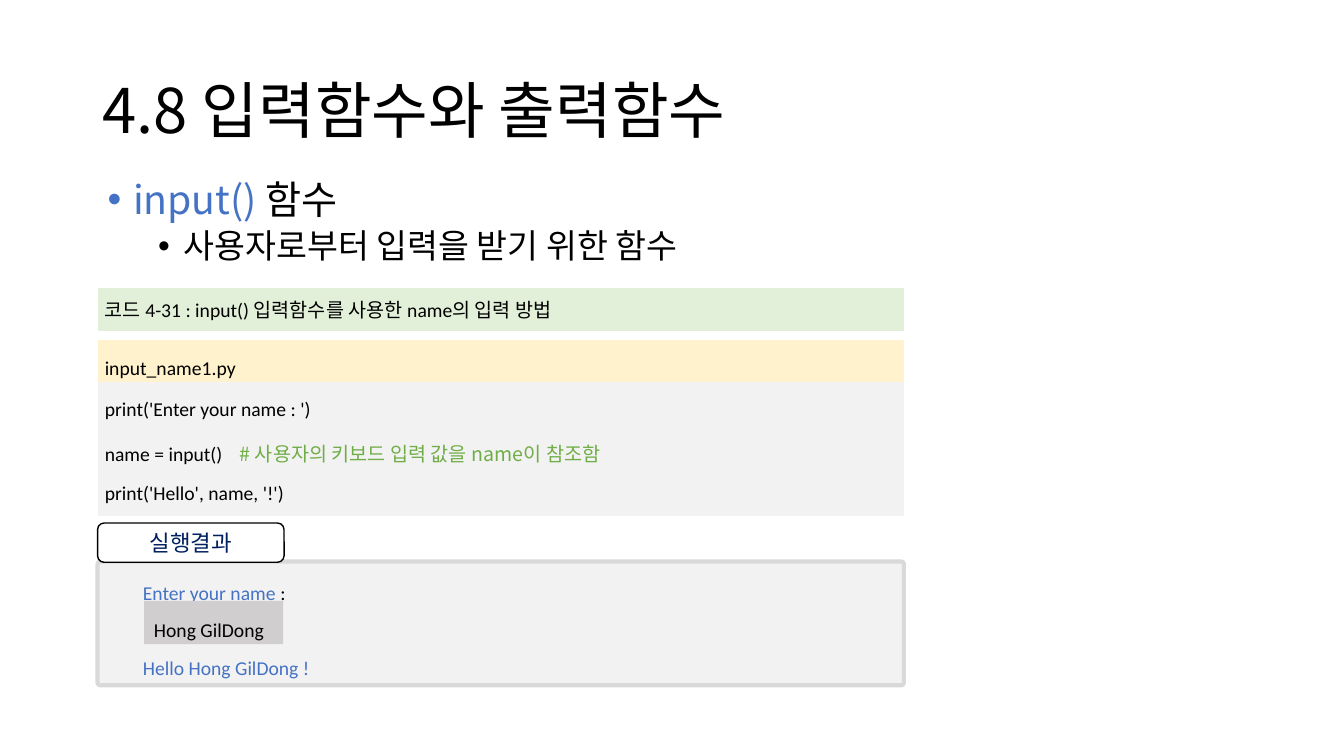
"""Build the slide about the input() function with its code listing and output."""
from lxml.etree import SubElement
from pptx import Presentation
from pptx.dml.color import RGBColor
from pptx.enum.shapes import MSO_SHAPE
from pptx.enum.text import MSO_ANCHOR, MSO_AUTO_SIZE, PP_ALIGN
from pptx.oxml.ns import qn
from pptx.util import Cm, Pt

BLACK = RGBColor(0x00, 0x00, 0x00)
WHITE = RGBColor(0xFF, 0xFF, 0xFF)
BLUE = RGBColor(0x44, 0x72, 0xC4)
NAVY = RGBColor(0x00, 0x20, 0x60)
GREEN = RGBColor(0x70, 0xAD, 0x47)
PALE_GREEN = RGBColor(0xE2, 0xF0, 0xD9)
PALE_YELLOW = RGBColor(0xFF, 0xF2, 0xCC)
PALE_GREY = RGBColor(0xF2, 0xF2, 0xF2)
BORDER_GREY = RGBColor(0xD9, 0xD9, 0xD9)
INPUT_GREY = RGBColor(0xD0, 0xCE, 0xCE)
LATIN, KOREAN = "Calibri", "Noto Sans CJK KR"
LEFT, WIDTH = Cm(2.46), Cm(20.32)


def write(para, spans, size, font=LATIN, spacing=1.0):
    """Write coloured spans, each (text, colour) or (text, colour, font)."""
    para.alignment = PP_ALIGN.LEFT
    para.line_spacing = spacing
    para.font.size = Pt(size)
    para.font.name = font
    defaults = para._p.pPr.find(qn("a:defRPr"))
    SubElement(defaults, qn("a:ea"), typeface=KOREAN)
    for text, colour, *own_font in spans:
        span = para.add_run()
        span.text = text
        span.font.color.rgb = colour
        if own_font:
            span.font.name = own_font[0]
        SubElement(span._r.get_or_add_rPr(), qn("a:ea"), typeface=KOREAN)


def add_box(kind, left, top, width, height, fill, line=None, line_width=0):
    """Add a flat shape with a plain fill and an optional outline."""
    box = page.shapes.add_shape(kind, left, top, width, height)
    box.shadow.inherit = False
    box.fill.solid()
    box.fill.fore_color.rgb = fill
    if line is None:
        box.line.fill.background()
    else:
        box.line.color.rgb = line
        box.line.width = Pt(line_width)
    return box


deck = Presentation()
deck.slide_width, deck.slide_height = Cm(33.87), Cm(19.05)
page = deck.slides.add_slide(deck.slide_layouts[1])

title, body = page.placeholders
title.left, title.top, title.width, title.height = Cm(2.33), Cm(1.01), Cm(29.21), Cm(3.68)
title.text_frame.vertical_anchor = MSO_ANCHOR.MIDDLE
write(title.text_frame.paragraphs[0], [("4.8 입력함수와 출력함수", BLACK)], 44, KOREAN, 0.9)

body.left, body.top, body.width, body.height = LEFT, Cm(4.42), Cm(25.02), Cm(2.72)
body.text_frame.auto_size = MSO_AUTO_SIZE.NONE
bullets = [
    ([("input() ", BLUE), ("함수", BLACK)], 28, 10, 0.64),
    ([("사용자로부터 입력을 받기 위한 함수", BLACK)], 24, 5, 1.91),
]
for level, (spans, size, before, indent) in enumerate(bullets):
    para = body.text_frame.add_paragraph() if level else body.text_frame.paragraphs[0]
    para.level = level
    write(para, spans, size, KOREAN, 0.9)
    para.space_before = Pt(before)
    settings = para._p.pPr
    settings.set("marL", str(Cm(indent)))
    settings.set("indent", str(-Cm(0.64)))
    defaults = settings.find(qn("a:defRPr"))
    for tag, name, value in [("a:buFont", "typeface", "Arial"), ("a:buChar", "char", "•")]:
        defaults.addprevious(SubElement(settings, qn(tag), {name: value}))

result = add_box(MSO_SHAPE.ROUNDED_RECTANGLE, LEFT, Cm(14.15), WIDTH, Cm(3.12),
                 PALE_GREY, BORDER_GREY, 3)
result.adjustments[0] = 0.023

tab = add_box(MSO_SHAPE.ROUNDED_RECTANGLE, LEFT, Cm(13.18), Cm(4.7), Cm(0.99), WHITE, BLACK, 1)
tab.text_frame.vertical_anchor = MSO_ANCHOR.MIDDLE
tab_label = tab.text_frame.paragraphs[0]
write(tab_label, [("실행결과", NAVY)], 16, KOREAN)
tab_label.alignment = PP_ALIGN.CENTER

output = page.shapes.add_textbox(Cm(3.35), Cm(14.15), Cm(18.54), Cm(3.12)).text_frame
output.word_wrap = True
write(output.paragraphs[0], [("Enter your name ", BLUE), (": ", BLACK)], 14, spacing=1.6)
greeting = output.add_paragraph()
write(greeting, [("Hello Hong GilDong !", BLUE)], 14, spacing=1.6)
greeting.space_before = Pt(27)

listing = [
    (1.07, PALE_GREEN, 1.0, [[("코드 4-31 : input() 입력함수를 사용한 name의 입력 방법", BLACK)]]),
    (0.24, None, 1.0, [[]]),
    (1.04, PALE_YELLOW, 1.6, [[("input_name1.py", BLACK)]]),
    (3.38, PALE_GREY, 1.6, [
        [("print('Enter your name : ')", BLACK)],
        [("name = input()\t", BLACK),
         ("# 사용자의 키보드 입력 값을 name이 참조함", GREEN, KOREAN)],
        [("print('Hello', name, '!')", BLACK)],
    ]),
]
total = sum(height for height, *rest in listing)
frame = page.shapes.add_table(len(listing), 1, LEFT, Cm(7.26), WIDTH, Cm(total))
frame.element.xpath(".//a:tableStyleId")[0].text = "{2D5ABB26-0587-4C30-8999-92F81FD0307C}"
table = frame.table
table.first_row = table.horz_banding = False
for row, (height, fill, spacing, lines) in enumerate(listing):
    table.rows[row].height = Cm(height)
    cell = table.cell(row, 0)
    cell.margin_left = cell.margin_right = Cm(0.18)
    cell.margin_top = cell.margin_bottom = Cm(0.05) if fill else 0
    cell.vertical_anchor = MSO_ANCHOR.TOP if len(lines) > 1 else MSO_ANCHOR.MIDDLE
    if fill:
        cell.fill.solid()
        cell.fill.fore_color.rgb = fill
    else:
        cell.fill.background()
        cell.text_frame.paragraphs[0].font.size = Pt(1)
        SubElement(cell.text_frame.paragraphs[0]._p, qn("a:endParaRPr"), sz="100")
        continue
    for number, spans in enumerate(lines):
        para = cell.text_frame.add_paragraph() if number else cell.text_frame.paragraphs[0]
        write(para, spans, 14, spacing=spacing)
        if len(spans) > 1:
            stops = SubElement(para._p.pPr, qn("a:tabLst"))
            SubElement(stops, qn("a:tab"), pos=str(Cm(3.4)), algn="l")
            para._p.pPr.find(qn("a:defRPr")).addprevious(stops)

typed = add_box(MSO_SHAPE.RECTANGLE, Cm(3.63), Cm(15.14), Cm(3.51), Cm(1.09), INPUT_GREY)
typed.text_frame.word_wrap = False
write(typed.text_frame.paragraphs[0], [("Hong GilDong", BLACK)], 14, spacing=1.6)

deck.save("out.pptx")
